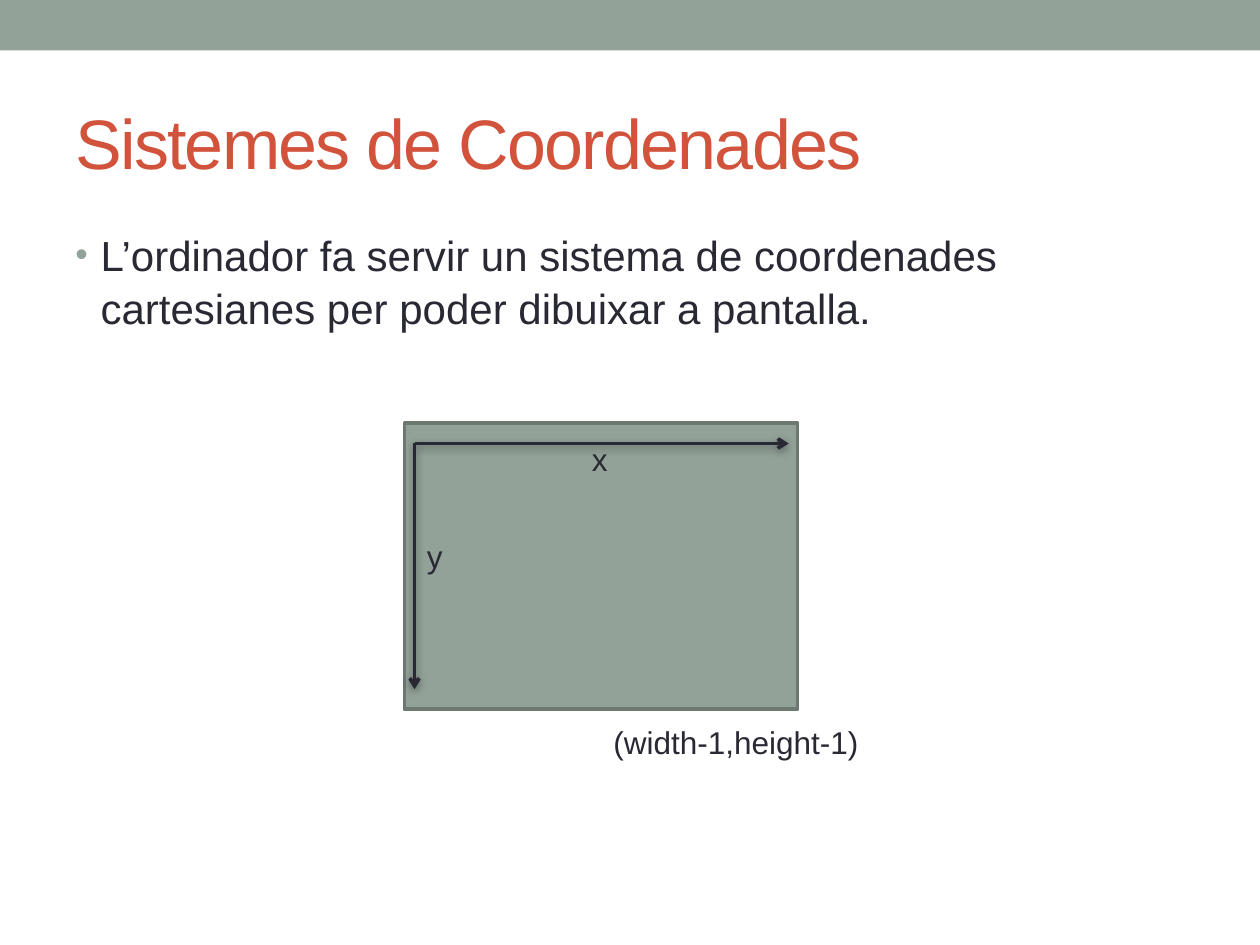
from lxml.etree import SubElement
from pptx import Presentation
from pptx.dml.color import RGBColor
from pptx.enum.shapes import MSO_CONNECTOR as Connector, MSO_SHAPE as Shape
from pptx.enum.text import MSO_ANCHOR as Anchor
from pptx.oxml.ns import qn
from pptx.util import Pt

SAGE = RGBColor(0x93, 0xA2, 0x99)
DARK_SAGE = RGBColor(0x6D, 0x78, 0x71)
RUST = RGBColor(0xD2, 0x53, 0x3C)
INK = RGBColor(0x29, 0x29, 0x34)


def add_element(parent, tag, **attributes):
    return SubElement(parent, qn(tag), attributes)


def add_rectangle(slide, left, top, width, height, line_color=None):
    shape = slide.shapes.add_shape(
        Shape.RECTANGLE, Pt(left), Pt(top), Pt(width), Pt(height))
    shape.shadow.inherit = False
    shape.fill.solid()
    shape.fill.fore_color.rgb = SAGE
    if line_color is None:
        shape.line.fill.background()
    else:
        shape.line.color.rgb = line_color
        shape.line.width = Pt(2.08)


def add_text(slide, text, left, top, width, height, size=18, color=INK,
             wrap=False, anchor=Anchor.TOP):
    shape = slide.shapes.add_textbox(Pt(left), Pt(top), Pt(width), Pt(height))
    text_frame = shape.text_frame
    text_frame.word_wrap = wrap
    text_frame.vertical_anchor = anchor
    text_frame.text = text
    paragraph = text_frame.paragraphs[0]
    font = paragraph.runs[0].font
    font.name = "Arial"
    font.size = Pt(size)
    font.color.rgb = color
    return paragraph


def add_bullet(paragraph, indent):
    properties = paragraph._p.get_or_add_pPr()
    properties.set("marL", str(Pt(indent)))
    properties.set("indent", str(-Pt(indent)))
    color = add_element(properties, "a:buClr")
    add_element(color, "a:srgbClr", val=str(SAGE))
    add_element(properties, "a:buSzPct", val="85000")
    add_element(properties, "a:buFont", typeface="Arial")
    add_element(properties, "a:buChar", char="•")


def add_axis(slide, start, end):
    connector = slide.shapes.add_connector(
        Connector.STRAIGHT, *(Pt(value) for value in start + end))
    connector.line.color.rgb = INK
    connector.line.width = Pt(2)
    add_element(connector.line._get_or_add_ln(), "a:tailEnd", type="arrow")
    # Soft shadow straight below the arrow
    effects = add_element(connector._element.spPr, "a:effectLst")
    shadow = add_element(
        effects, "a:outerShdw", blurRad=str(Pt(5)), dist=str(Pt(1.6)),
        dir="5400000", rotWithShape="0")
    color = add_element(shadow, "a:srgbClr", val="000000")
    add_element(color, "a:alpha", val="38000")


def main():
    presentation = Presentation()
    presentation.slide_width, presentation.slide_height = Pt(720), Pt(540)
    slide = presentation.slides.add_slide(presentation.slide_layouts[6])

    # Top band and title
    add_rectangle(slide, 0, 0, 720, 28.8)
    title = add_text(slide, "Sistemes de Coordenades", 36, 41.76, 648, 77.76,
                     size=40, color=RUST, wrap=True, anchor=Anchor.MIDDLE)
    title.runs[0]._r.get_or_add_rPr().set("spc", "-100")

    # Body
    body = add_text(
        slide, "L’ordinador fa servir un sistema de coordenades "
        "cartesianes per poder dibuixar a pantalla.",
        36, 126, 648, 401.76, size=24, wrap=True)
    body.line_spacing = 1.05
    add_bullet(body, 14.4)

    # Screen with its axes
    add_rectangle(slide, 231.12, 241.92, 224.64, 163.44, DARK_SAGE)
    origin = (236.88, 253.44)
    add_axis(slide, origin, (origin[0], 393.84))
    add_axis(slide, origin, (450.72, origin[1]))

    # Labels
    add_text(slide, "x", 331.2, 247.68, 23.76, 28.8)
    add_text(slide, "y", 236.88, 303.12, 24.48, 28.8)
    add_text(slide, "(width-1,height-1)", 343.44, 409.68, 155.52, 28.8)

    presentation.save("out.pptx")


if __name__ == "__main__":
    main()
